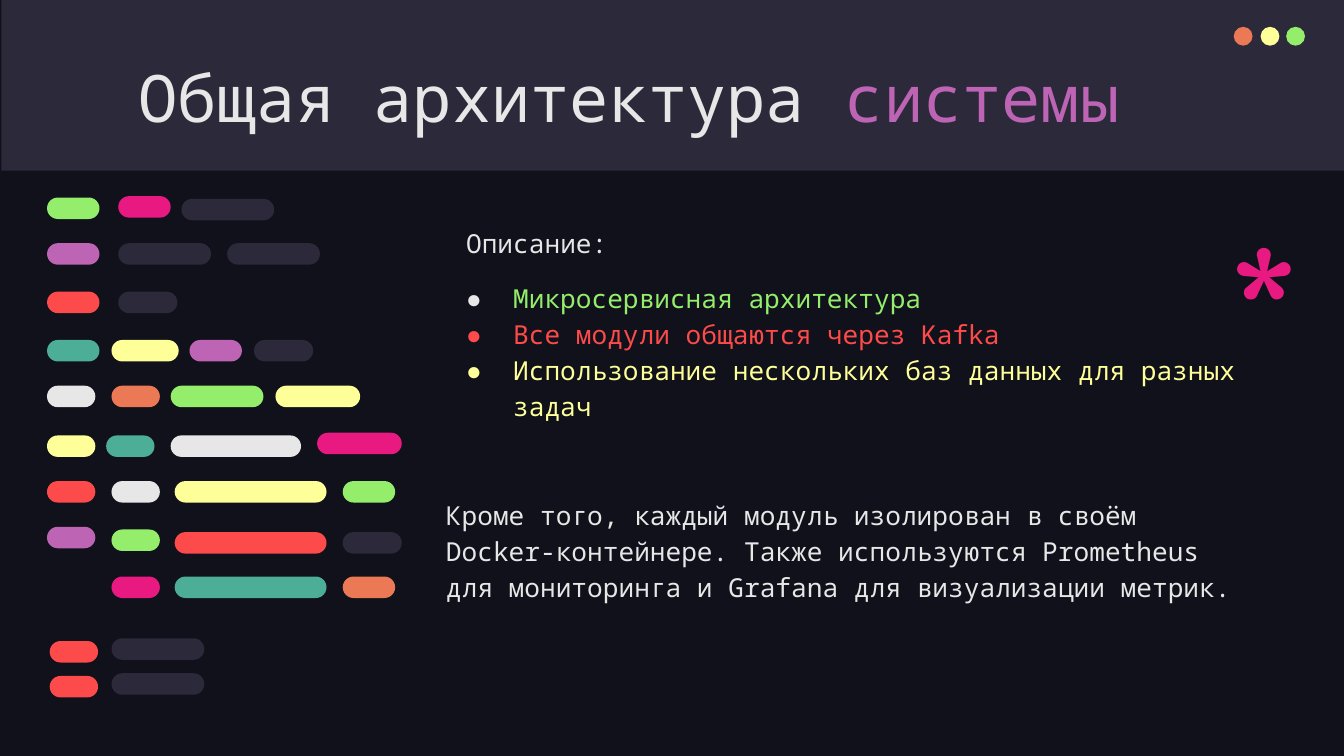
"""Build the slide on the overall system architecture."""
import pptx
import pptx.dml.color
import pptx.enum.shapes
import pptx.enum.text
import pptx.oxml.ns
import pptx.util
from lxml import etree
from pptx.dml.color import RGBColor
from pptx.util import Inches

NIGHT = RGBColor(0x10, 0x11, 0x1A)
SLATE = RGBColor(0x2C, 0x29, 0x3A)
LIGHT = RGBColor(0xE7, 0xE7, 0xE7)
ORANGE = RGBColor(0xEC, 0x79, 0x55)
YELLOW = RGBColor(0xFF, 0xFF, 0x99)
GREEN = RGBColor(0x94, 0xEE, 0x6B)
PINK = RGBColor(0xE8, 0x1A, 0x81)
PURPLE = RGBColor(0xBD, 0x64, 0xB5)
RED = RGBColor(0xFD, 0x4A, 0x4A)
TEAL = RGBColor(0x4C, 0xAE, 0x97)

MONO = "Noto Sans Mono"
SHAPES = pptx.enum.shapes.MSO_SHAPE
PILL_HEIGHT = 0.16

WINDOW_DOTS = [(9.18, ORANGE), (9.38, YELLOW), (9.57, GREEN)]

CODE_PILLS = {
    GREEN: [(0.35, 1.47, 0.39), (1.27, 2.87, 0.69), (2.55, 3.58, 0.39), (0.83, 3.94, 0.36)],
    PINK: [(0.88, 1.46, 0.39), (2.36, 3.22, 0.63), (0.83, 4.29, 0.36)],
    PURPLE: [(0.35, 1.81, 0.39), (1.41, 2.53, 0.39), (0.35, 3.92, 0.36)],
    RED: [(0.35, 2.17, 0.39), (0.35, 3.58, 0.36), (1.3, 3.96, 1.13),
          (0.37, 4.77, 0.36), (0.37, 5.03, 0.36)],
    TEAL: [(0.35, 2.53, 0.39), (0.79, 3.24, 0.36), (1.3, 4.29, 1.13)],
    YELLOW: [(0.83, 2.53, 0.5), (2.05, 2.87, 0.63), (0.35, 3.24, 0.36), (1.3, 3.58, 1.13)],
    LIGHT: [(0.35, 2.87, 0.36), (1.27, 3.24, 0.97), (0.83, 3.58, 0.36)],
    ORANGE: [(0.83, 2.87, 0.36), (2.55, 4.29, 0.39)],
    SLATE: [(1.35, 1.48, 0.69), (0.88, 1.81, 0.69), (1.69, 1.81, 0.69), (0.88, 2.17, 0.44),
            (1.89, 2.53, 0.44), (2.55, 3.96, 0.44), (0.83, 4.75, 0.69), (0.83, 5.01, 0.69)],
}

FEATURES = [
    ("Микросервисная архитектура", GREEN, LIGHT),
    ("Все модули общаются через Kafka", RED, RED),
    ("Использование нескольких баз данных для разных задач", YELLOW, YELLOW),
]
ISOLATION = (
    "Кроме того, каждый модуль изолирован в своём Docker-контейнере. "
    "Также используются Prometheus для мониторинга и Grafana для визуализации метрик."
)


def add_filled(slide, kind, left, top, width, height, colour):
    """Add a borderless shape in one colour."""
    shape = slide.shapes.add_shape(
        kind, Inches(left), Inches(top), Inches(width), Inches(height))
    shape.shadow.inherit = False
    shape.fill.solid()
    shape.fill.fore_color.rgb = colour
    shape.line.fill.background()
    return shape


def add_text_frame(slide, left, top, width, height):
    """Add a wrapping text box with even margins and return its frame."""
    frame = slide.shapes.add_textbox(
        Inches(left), Inches(top), Inches(width), Inches(height)).text_frame
    frame.word_wrap = True
    frame.margin_left = frame.margin_right = Inches(0.1)
    frame.margin_top = frame.margin_bottom = Inches(0.1)
    return frame


def add_run(paragraph, text, size, colour, font=MONO):
    """Add one styled run to a paragraph."""
    run = paragraph.add_run()
    run.text = text
    run.font.name = font
    run.font.size = pptx.util.Pt(size)
    run.font.color.rgb = colour


def set_indent(paragraph, left, first=0):
    """Set the left margin and first-line indent of a paragraph."""
    properties = paragraph._p.get_or_add_pPr()
    properties.set("marL", str(Inches(left)))
    properties.set("indent", str(Inches(first)))
    return properties


def add_bullet(paragraph, colour):
    """Give a paragraph a hanging round bullet."""
    properties = set_indent(paragraph, 0.5, -0.35)
    qn = pptx.oxml.ns.qn
    bullet_colour = etree.SubElement(properties, qn("a:buClr"))
    etree.SubElement(bullet_colour, qn("a:srgbClr"), val=str(colour))
    etree.SubElement(properties, qn("a:buFont"), typeface=MONO)
    etree.SubElement(properties, qn("a:buChar"), char="●")


def add_body_paragraph(frame, text, colour, space_before):
    """Add a body paragraph below those already in the frame."""
    paragraph = frame.add_paragraph() if frame.text else frame.paragraphs[0]
    paragraph.line_spacing = 1.15
    paragraph.space_before = pptx.util.Pt(space_before)
    add_run(paragraph, text, 14, colour)
    return paragraph


def add_header(slide):
    """Add the title band, window dots and title."""
    add_filled(slide, SHAPES.RECTANGLE, 0.01, 0, 9.99, 1.27, SLATE)
    for left, colour in WINDOW_DOTS:
        add_filled(slide, SHAPES.OVAL, left, 0.2, 0.14, 0.14, colour)
    frame = add_text_frame(slide, 0.14, 0.32, 9.08, 0.79)
    frame.vertical_anchor = pptx.enum.text.MSO_ANCHOR.MIDDLE
    title = frame.paragraphs[0]
    title.alignment = pptx.enum.text.PP_ALIGN.CENTER
    add_run(title, "Общая архитектура ", 35, LIGHT)
    add_run(title, "системы", 35, PURPLE)


def add_description(slide):
    """Add the description with its bulleted features and closing note."""
    frame = add_text_frame(slide, 3.22, 1.56, 6.17, 3.57)
    set_indent(add_body_paragraph(frame, "Описание:", LIGHT, 0), 0.15)
    for index, (text, colour, bullet_colour) in enumerate(FEATURES):
        feature = add_body_paragraph(frame, text, colour, 0 if index else 10)
        add_bullet(feature, bullet_colour)
    add_body_paragraph(frame, ISOLATION, LIGHT, 39)


def add_code_pills(slide):
    """Add the rounded bars that suggest lines of code."""
    for colour, pills in CODE_PILLS.items():
        for left, top, width in pills:
            pill = add_filled(
                slide, SHAPES.ROUNDED_RECTANGLE, left, top, width, PILL_HEIGHT, colour)
            pill.adjustments[0] = 0.5


def main():
    """Build and save the presentation."""
    presentation = pptx.Presentation()
    presentation.slide_width = Inches(10)
    presentation.slide_height = Inches(10) * 9 // 16
    slide = presentation.slides.add_slide(presentation.slide_layouts[6])
    slide.background.fill.solid()
    slide.background.fill.fore_color.rgb = NIGHT
    add_header(slide)
    add_description(slide)
    add_code_pills(slide)
    asterisk = add_text_frame(slide, 9.05, 1.46, 0.57, 0.87)
    add_run(asterisk.paragraphs[0], "*", 96, PINK, "Comfortaa")
    presentation.save("out.pptx")


if __name__ == "__main__":
    main()
